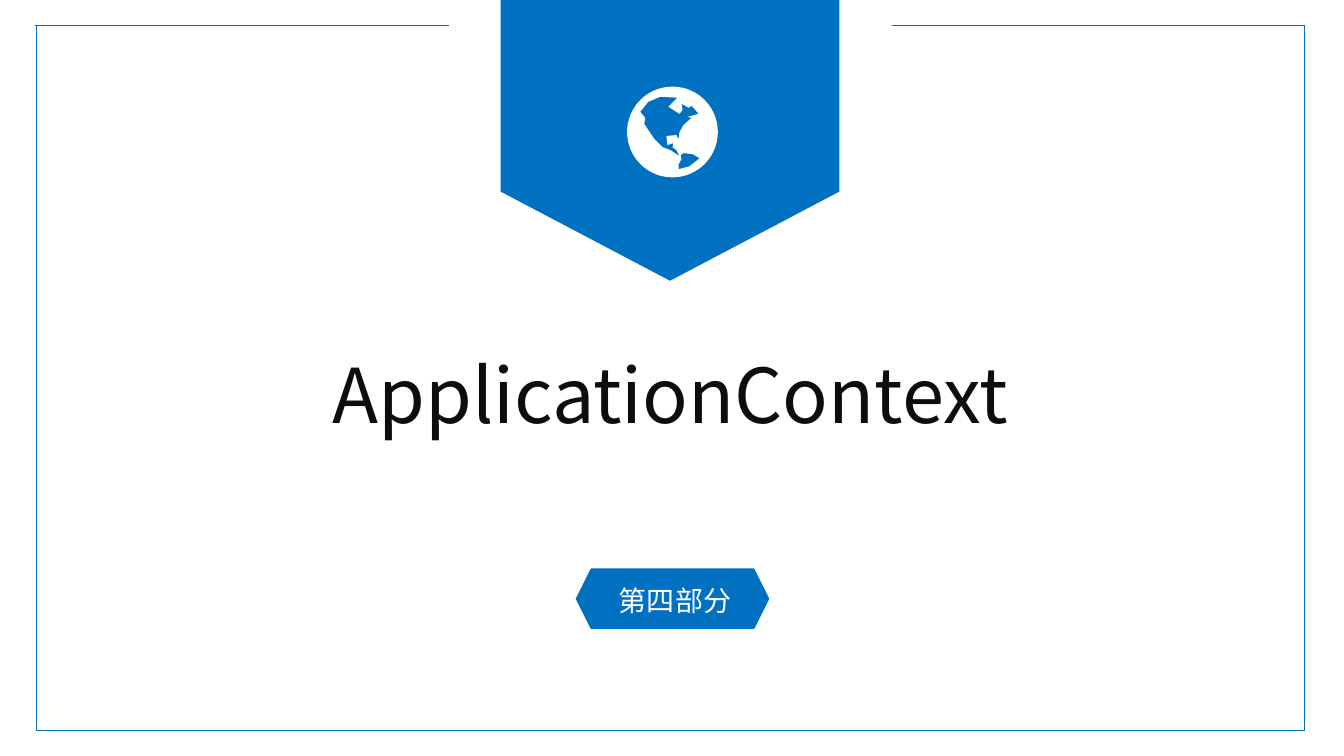
from dataclasses import dataclass
from math import cos, pi, sin

from lxml.etree import SubElement
from pptx import Presentation
from pptx.dml.color import RGBColor
from pptx.enum.shapes import MSO_CONNECTOR, MSO_SHAPE
from pptx.enum.text import MSO_AUTO_SIZE, PP_ALIGN
from pptx.oxml.ns import qn
from pptx.shapes.autoshape import Shape
from pptx.slide import Slide
from pptx.util import Inches, Pt

BLUE = "0070C0"
WHITE = "FFFFFF"
FONT = "Noto Sans CJK SC"
BORDER_WIDTH = Pt(0.5)
BORDER_TOP = 0.25

Point = tuple[float, float]

NORTH_AMERICA: list[Point] = [
    (6.82, 1.16), (6.93, 1.13), (6.86, 1.05), (6.83, 1.07), (6.76, 1.03),
    (6.77, 1.09), (6.74, 1.13), (6.63, 1.06), (6.72, 0.97), (6.55, 0.96),
    (6.43, 1.01), (6.35, 1.11), (6.4, 1.17), (6.39, 1.23), (6.49, 1.38),
    (6.54, 1.43), (6.57, 1.46), (6.65, 1.49), (6.74, 1.55), (6.71, 1.49),
    (6.67, 1.46), (6.68, 1.42), (6.62, 1.44), (6.61, 1.35), (6.71, 1.34),
    (6.73, 1.38), (6.74, 1.31), (6.78, 1.24), (6.86, 1.17),
]
SOUTH_AMERICA: list[Point] = [
    (6.94, 1.57), (6.87, 1.53), (6.78, 1.52), (6.75, 1.54),
    (6.76, 1.58), (6.73, 1.63), (6.73, 1.68), (6.84, 1.65),
]


@dataclass
class Block:
    kind: MSO_SHAPE
    left: float
    top: float
    width: float
    height: float
    fill: str | None = None
    line: str | None = None
    rotation: float = 0
    adjustment: float | None = None


@dataclass
class Label:
    text: str
    left: float
    top: float
    width: float
    height: float
    size: float
    color: str
    align: PP_ALIGN
    wrap: bool


def color(value: str) -> RGBColor:
    return RGBColor.from_string(value)


def paint(shape: Shape, fill: str | None, line: str | None) -> None:
    shape.shadow.inherit = False
    if fill:
        shape.fill.solid()
        shape.fill.fore_color.rgb = color(fill)
    else:
        shape.fill.background()
    if line:
        shape.line.color.rgb = color(line)
        shape.line.width = BORDER_WIDTH
    else:
        shape.line.fill.background()


def draw_block(page: Slide, block: Block) -> None:
    shape = page.shapes.add_shape(
        block.kind, Inches(block.left), Inches(block.top),
        Inches(block.width), Inches(block.height))
    shape.rotation = block.rotation
    if block.adjustment is not None:
        shape.adjustments[0] = block.adjustment
    paint(shape, block.fill, block.line)


def draw_border_top(page: Slide, start: float, end: float) -> None:
    border = page.shapes.add_connector(
        MSO_CONNECTOR.STRAIGHT, Inches(start), Inches(BORDER_TOP),
        Inches(end), Inches(BORDER_TOP))
    border.line.color.rgb = color(BLUE)
    border.line.width = BORDER_WIDTH
    SubElement(border._element.spPr, qn("a:effectLst"))


def draw_label(page: Slide, label: Label) -> None:
    box = page.shapes.add_textbox(
        Inches(label.left), Inches(label.top),
        Inches(label.width), Inches(label.height))
    frame = box.text_frame
    frame.text = label.text
    frame.word_wrap = label.wrap
    frame.auto_size = MSO_AUTO_SIZE.SHAPE_TO_FIT_TEXT
    para = frame.paragraphs[0]
    para.alignment = label.align
    span = para.runs[0]
    span.font.size = Pt(label.size)
    span.font.name = FONT
    span.font.color.rgb = color(label.color)
    SubElement(span.font._element, qn("a:ea")).set("typeface", FONT)


def circle(center: Point, radius: float, steps: int = 72) -> list[Point]:
    angles = [2 * pi * step / steps for step in range(steps)]
    return [(center[0] + radius * cos(angle), center[1] + radius * sin(angle))
            for angle in angles]


def draw_globe(page: Slide) -> None:
    outlines = [circle((6.67, 1.31), 0.45), NORTH_AMERICA, SOUTH_AMERICA]
    contours = [[(Inches(x), Inches(y)) for x, y in outline] for outline in outlines]
    builder = page.shapes.build_freeform(*contours[0][0])
    for index, contour in enumerate(contours):
        if index:
            builder.move_to(*contour[0])
        builder.add_line_segments(contour[1:], close=True)
    paint(builder.convert_to_shape(), WHITE, None)


def main() -> None:
    deck = Presentation()
    deck.slide_width = Inches(13.33)
    deck.slide_height = Inches(7.5)
    page = deck.slides.add_slide(deck.slide_layouts[6])

    draw_block(page, Block(MSO_SHAPE.RIGHT_BRACKET, 3.15, -2.54, 7, 12.58,
                           line=BLUE, rotation=90, adjustment=0))
    for start, end in [(12.94, 8.85), (4.45, 0.35)]:
        draw_border_top(page, start, end)
    draw_block(page, Block(MSO_SHAPE.PENTAGON, 5.25, -0.29, 2.79, 3.36,
                           fill=BLUE, rotation=90, adjustment=0.317))
    draw_label(page, Label("ApplicationContext", 3.05, 3.4, 7.19, 1.01,
                           54, "0D0D0D", PP_ALIGN.CENTER, True))
    draw_globe(page)
    draw_block(page, Block(MSO_SHAPE.HEXAGON, 5.71, 5.64, 1.92, 0.6, fill=BLUE))
    draw_label(page, Label("第四部分", 6.04, 5.74, 1.31, 0.44,
                           20, WHITE, PP_ALIGN.LEFT, False))
    deck.save("out.pptx")


if __name__ == "__main__":
    main()
